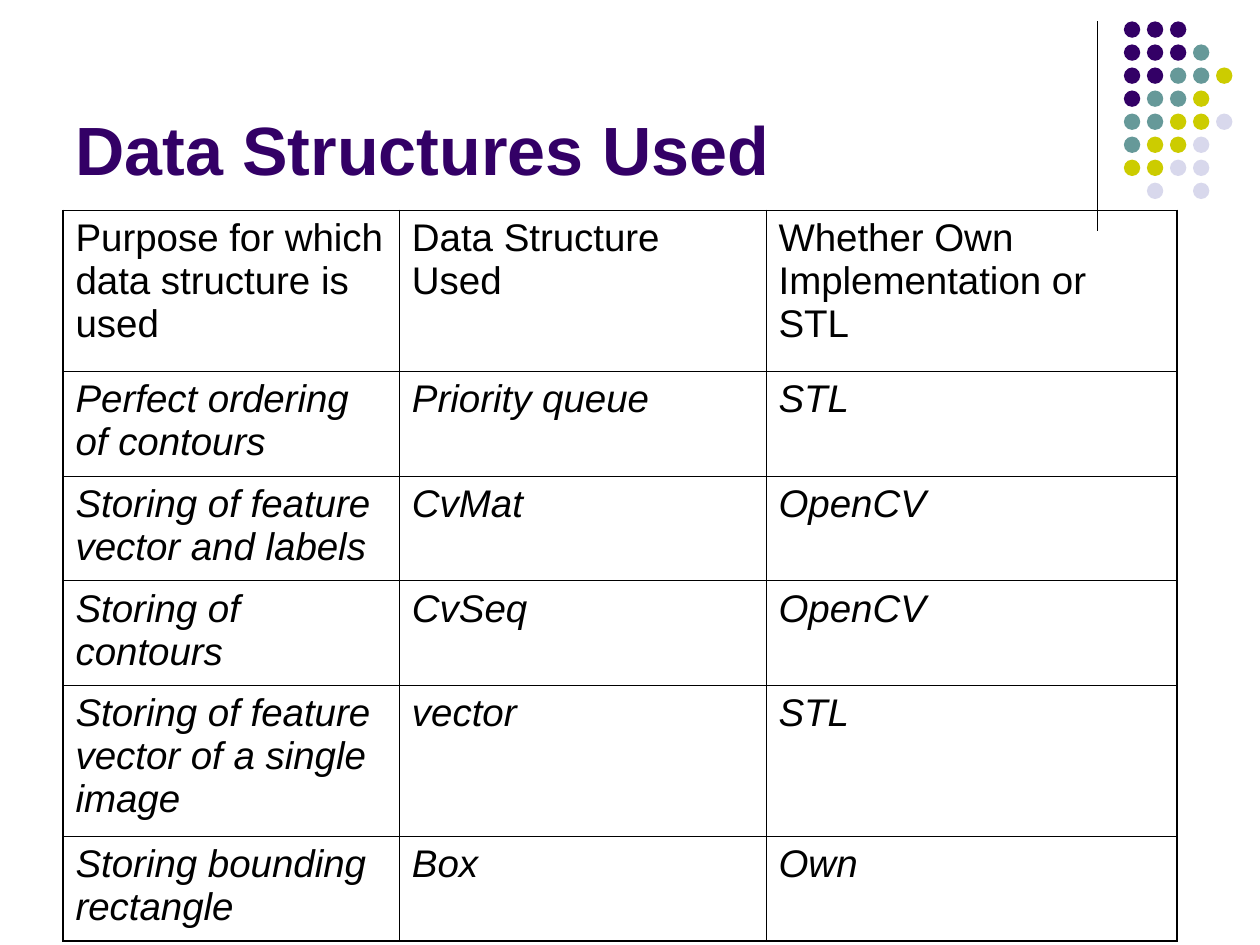
from lxml import etree
from pptx import Presentation
from pptx.dml.color import RGBColor
from pptx.enum.shapes import MSO_CONNECTOR, MSO_SHAPE
from pptx.enum.text import MSO_ANCHOR, MSO_AUTO_SIZE, PP_ALIGN
from pptx.oxml.ns import qn
from pptx.util import Inches, Pt

STRAIGHT = MSO_CONNECTOR.STRAIGHT
OVAL = MSO_SHAPE.OVAL
BOTTOM = MSO_ANCHOR.BOTTOM
TOP = MSO_ANCHOR.TOP
NO_AUTOFIT = MSO_AUTO_SIZE.NONE
LEFT = PP_ALIGN.LEFT

BLACK = RGBColor(0x00, 0x00, 0x00)
PURPLE = RGBColor(0x33, 0x00, 0x66)
TEAL = RGBColor(0x66, 0x99, 0x99)
LIME = RGBColor(0xCC, 0xCC, 0x00)
LAVENDER = RGBColor(0xD8, 0xD8, 0xEC)

FONT = "Arial"
TITLE_ONLY_LAYOUT = 5
OUTER_BORDER, INNER_BORDER = 1.08, 0.45

# One letter per dot, a space where the grid has no dot
DOT_ROWS = ["PPP", "PPPT", "PPTTL", "PTTL", "TTLLV", "TLLV", "LLVV", " V V"]
DOT_COLORS = {"P": PURPLE, "T": TEAL, "L": LIME, "V": LAVENDER}
DOT_SIZE = 0.13
DOT_STEP = 1.28 / (len(DOT_ROWS) - 1)

COLUMN_WIDTHS = [2.67, 2.91, 3.26]
ROW_HEIGHTS = [1.28, 0.83, 0.83, 0.83, 1.2, 0.83]
TABLE_ROWS = [
    ("Purpose for which data structure is used", "Data Structure Used",
     "Whether Own Implementation or STL"),
    ("Perfect ordering of contours", "Priority queue", "STL"),
    ("Storing of feature vector and labels", "CvMat", "OpenCV"),
    ("Storing of contours", "CvSeq", "OpenCV"),
    ("Storing of feature vector of a single image", "vector", "STL"),
    ("Storing bounding rectangle", "Box", "Own"),
]


class SlideBuilder:
    """Holds the text style and the slide being built."""

    def __init__(self, slide, font):
        self.slide = slide
        self.font = font

    def format_text(self, text_frame, size, color, bold=False, italic=False):
        for paragraph in text_frame.paragraphs:
            paragraph.alignment = LEFT
            for run in paragraph.runs:
                run.font.name = self.font
                run.font.size = Pt(size)
                run.font.color.rgb = color
                run.font.bold = bold
                run.font.italic = italic

    def title(self, text, left, top, width, height):
        shape = self.slide.shapes.title
        shape.left, shape.top = Inches(left), Inches(top)
        shape.width, shape.height = Inches(width), Inches(height)
        text_frame = shape.text_frame
        text_frame.text = text
        text_frame.auto_size = NO_AUTOFIT
        text_frame.vertical_anchor = BOTTOM
        self.format_text(text_frame, 39, PURPLE, bold=True)

    def line(self, x1, y1, x2, y2, width):
        connector = self.slide.shapes.add_connector(
            STRAIGHT, Inches(x1), Inches(y1), Inches(x2), Inches(y2))
        connector.line.color.rgb = BLACK
        connector.line.width = Pt(width)
        properties = connector._element.spPr
        etree.SubElement(properties, qn("a:effectLst"))

    def dot_grid(self, left, top):
        group = self.slide.shapes.add_group_shape()
        for row, letters in enumerate(DOT_ROWS):
            for column, letter in enumerate(letters):
                if letter == " ":
                    continue
                dot = group.shapes.add_shape(
                    OVAL, Inches(left + column * DOT_STEP),
                    Inches(top + row * DOT_STEP),
                    Inches(DOT_SIZE), Inches(DOT_SIZE))
                dot.shadow.inherit = False
                dot.fill.solid()
                dot.fill.fore_color.rgb = DOT_COLORS[letter]
                dot.line.fill.background()

    def cell_borders(self, cell, widths):
        properties = cell._tc.get_or_add_tcPr()
        # Borders come before the fill, in the order left, right, top, bottom
        for index, (side, width) in enumerate(zip("LRTB", widths)):
            border = etree.Element(qn(f"a:ln{side}"), w=str(int(Pt(width))))
            fill = etree.SubElement(border, qn("a:solidFill"))
            etree.SubElement(fill, qn("a:srgbClr"), val=str(BLACK))
            properties.insert(index, border)

    def table(self, rows, left, top):
        last_row, last_column = len(rows) - 1, len(COLUMN_WIDTHS) - 1
        table = self.slide.shapes.add_table(
            len(rows), len(COLUMN_WIDTHS), Inches(left), Inches(top),
            Inches(sum(COLUMN_WIDTHS)), Inches(sum(ROW_HEIGHTS))).table
        table.first_row = table.horz_banding = False
        for column, width in zip(table.columns, COLUMN_WIDTHS):
            column.width = Inches(width)
        for row, height in zip(table.rows, ROW_HEIGHTS):
            row.height = Inches(height)

        for r, texts in enumerate(rows):
            for c, text in enumerate(texts):
                cell = table.cell(r, c)
                cell.text_frame.text = text
                cell.text_frame.paragraphs[0].space_before = Pt(5.5)
                cell.vertical_anchor = TOP
                self.format_text(cell.text_frame, 22, BLACK, italic=r > 0)
                cell.fill.background()
                on_edge = (c == 0, c == last_column, r == 0, r == last_row)
                self.cell_borders(cell, [
                    OUTER_BORDER if edge else INNER_BORDER
                    for edge in on_edge])


def main():
    presentation = Presentation()
    presentation.slide_width = Inches(10)
    presentation.slide_height = Inches(7.5)
    layout = presentation.slide_layouts[TITLE_ONLY_LAYOUT]
    builder = SlideBuilder(presentation.slides.add_slide(layout), FONT)

    # Corner decoration
    builder.line(8.71, 0.17, 8.71, 1.83, 0.75)
    builder.dot_grid(8.92, 0.17)

    # Title and table
    builder.title("Data Structures Used", 0.5, 0.13, 8.25, 1.42)
    builder.table(TABLE_ROWS, 0.5, 1.67)

    presentation.save("out.pptx")


if __name__ == "__main__":
    main()
